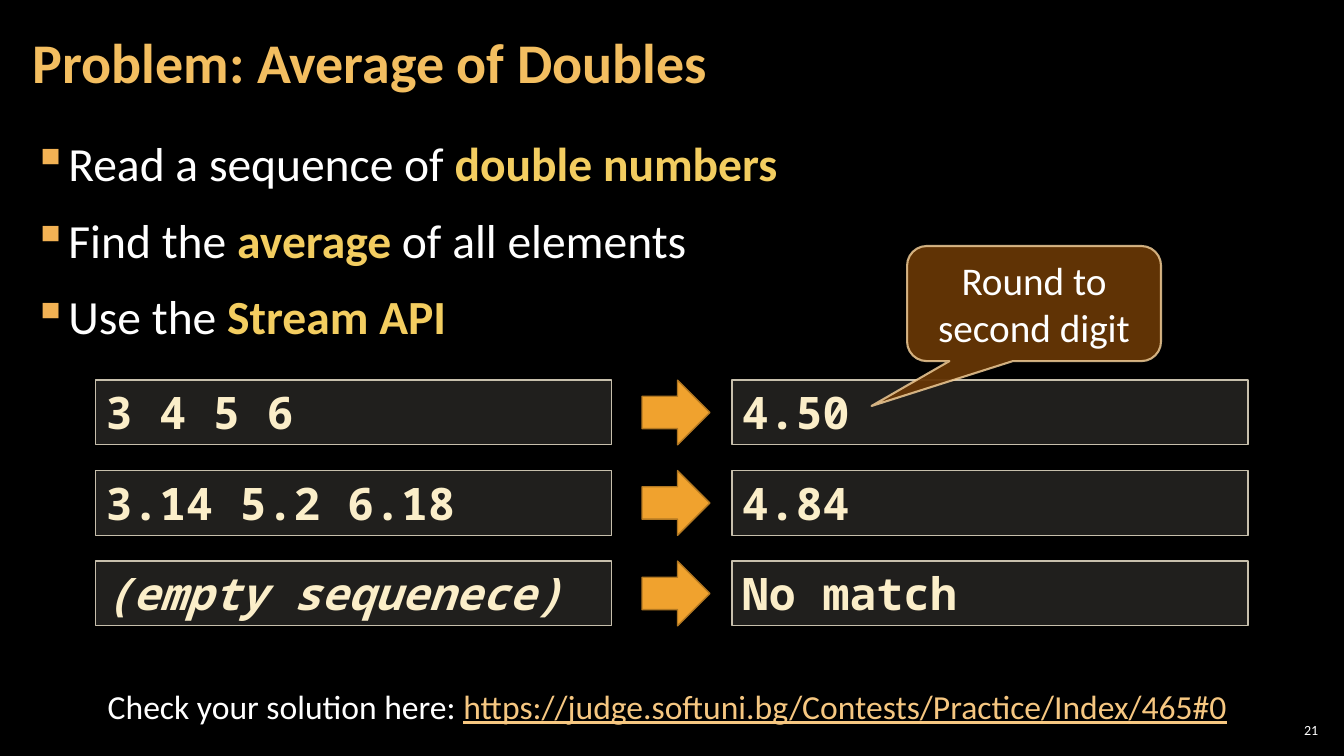
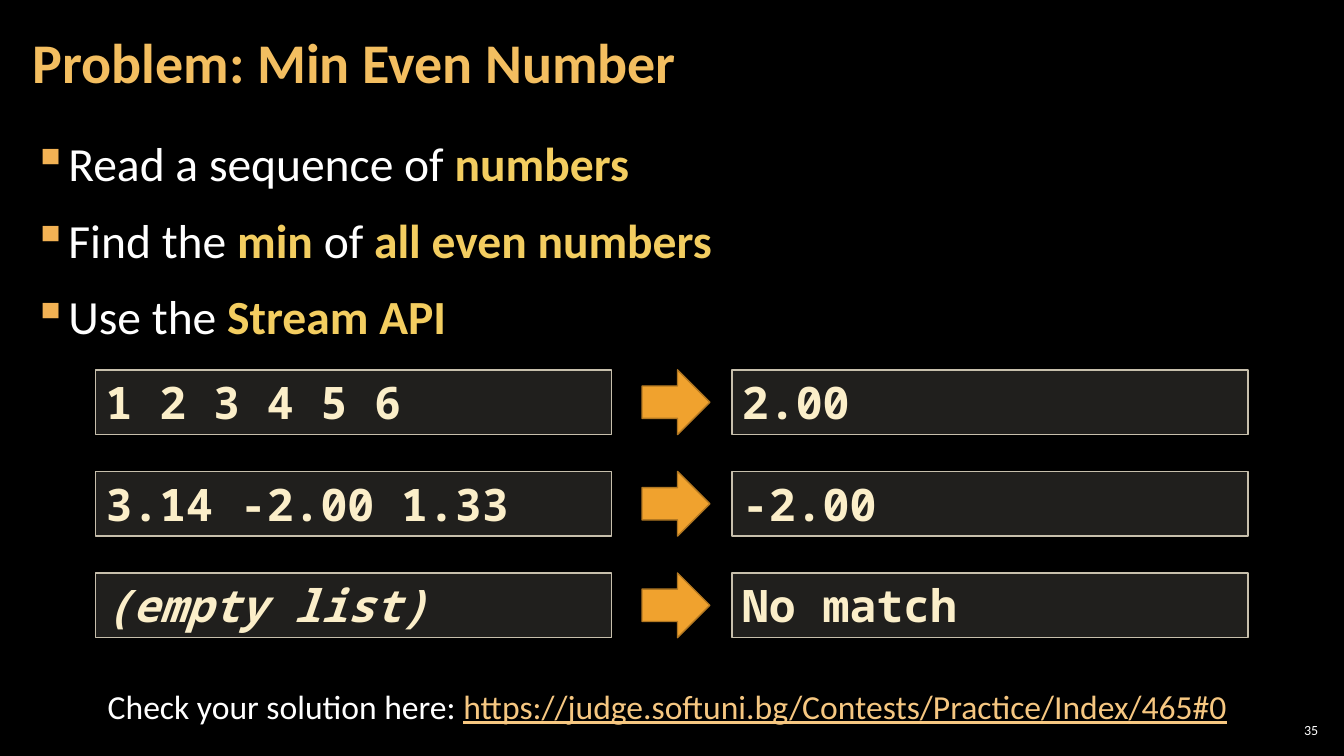
import pptx
import pptx.util
import pptx.dml.color
import pptx.enum.shapes
import pptx.enum.text
import pptx.oxml.ns
import lxml.etree

Cm = pptx.util.Cm
Pt = pptx.util.Pt
qn = pptx.oxml.ns.qn
SHAPE = pptx.enum.shapes.MSO_SHAPE
ANCHOR = pptx.enum.text.MSO_ANCHOR
ALIGN = pptx.enum.text.PP_ALIGN

WHITE = "FFFFFF"
TITLE = "F3BE60"
ACCENT = "F3CD60"
BULLET = "F2B254"
LINK = "F6C781"
CODE = "FBEEC9"
LINK_TEXT = "https://judge.softuni.bg/Contests/Practice/Index/465#0"


def paint(fill, color, opacity=100):
    fill.solid()
    fill.fore_color.rgb = pptx.dml.color.RGBColor.from_string(color)
    if opacity < 100:
        clr = fill._xPr.find(qn("a:solidFill"))[0]
        lxml.etree.SubElement(clr, qn("a:alpha"), val=str(opacity * 1000))


def write(p, text, size, color=WHITE, font="Calibri", bold=False, italic=False, underline=False):
    r = p.add_run()
    r.text = text
    r.font.name = font
    r.font.size = Pt(size)
    r.font.bold = bold
    r.font.italic = italic
    r.font.underline = underline
    paint(r.font.fill, color)


slides = [
    {
        "title": "Problem: Average of Doubles",
        "number": "21",
        "bullets": ["Read a sequence of *double numbers", "Find the *average *of all elements", "Use the *Stream API"],
        "rows": [("3 4 5 6", "4.50"), ("3.14 5.2 6.18", "4.84"), ("(empty sequenece)", "No match")],
        "top": 9.58,
        "pitch": 2.28,
        "callout": "Round to second digit",
    },
    {
        "title": "Problem: Min Even Number",
        "number": "35",
        "bullets": ["Read a sequence of *numbers", "Find the *min *of *all even numbers", "Use the *Stream API"],
        "rows": [("1 2 3 4 5 6", "2.00"), ("3.14 -2.00 1.33", "-2.00"), ("(empty list)", "No match")],
        "top": 9.32,
        "pitch": 2.56,
        "callout": None,
    },
]

prs = pptx.Presentation()
prs.slide_width = Cm(33.87)
prs.slide_height = Cm(19.05)
paint(prs.slide_master.background.fill, "000000")

for data in slides:
    s = prs.slides.add_slide(prs.slide_layouts[5])

    sp = s.shapes.title
    sp.left, sp.top, sp.width, sp.height = Cm(0.53), Cm(0.1), Cm(26.6), Cm(3.07)
    tf = sp.text_frame
    tf.margin_left = tf.margin_right = Cm(0.3)
    tf.margin_top = tf.margin_bottom = Cm(0.1)
    tf.vertical_anchor = ANCHOR.MIDDLE
    p = tf.paragraphs[0]
    p.alignment = ALIGN.LEFT
    p.line_spacing = 0.9
    write(p, data["title"], 40, TITLE, bold=True)

    sp = s.shapes.add_textbox(Cm(0.53), Cm(3.2), Cm(32.8), Cm(6))
    tf = sp.text_frame
    tf.word_wrap = True
    tf.margin_left = tf.margin_right = Cm(0.3)
    tf.margin_top = tf.margin_bottom = Cm(0.1)
    for i, text in enumerate(data["bullets"]):
        p = tf.add_paragraph() if i else tf.paragraphs[0]
        p.line_spacing = 1.05
        p.space_before = Pt(6 if i else 0)
        p.space_after = Pt(6)
        pPr = p._p.get_or_add_pPr()
        pPr.set("marL", str(Cm(0.85)))
        pPr.set("indent", str(-Cm(0.85)))
        buClr = lxml.etree.SubElement(pPr, qn("a:buClr"))
        lxml.etree.SubElement(buClr, qn("a:srgbClr"), val=BULLET)
        lxml.etree.SubElement(pPr, qn("a:buChar"), char="▪")
        for j, part in enumerate(text.split("*")):
            strong = j % 2 == 1
            write(p, part, 34, ACCENT if strong else WHITE, bold=strong)

    for i, values in enumerate(data["rows"]):
        top = Cm(data["top"] + i * data["pitch"])
        row = s.shapes.add_group_shape()
        for left, value in zip((2.41, 18.45), values):
            sp = row.shapes.add_shape(SHAPE.RECTANGLE, Cm(left), top, Cm(13), Cm(1.63))
            sp.shadow.inherit = False
            paint(sp.fill, "D9D5C7", 15)
            paint(sp.line.fill, "C7BFAC")
            sp.line.width = Pt(1)
            tf = sp.text_frame
            tf.word_wrap = True
            tf.vertical_anchor = ANCHOR.TOP
            p = tf.paragraphs[0]
            p.alignment = ALIGN.LEFT
            write(p, value, 32, CODE, "Noto Sans Mono", bold=True, italic=value.startswith("("))
        sp = row.shapes.add_shape(SHAPE.RIGHT_ARROW, Cm(16.18), top, Cm(1.71), Cm(1.63))
        sp.shadow.inherit = False
        paint(sp.fill, "F0A22E")
        paint(sp.line.fill, "B27822")
        sp.line.width = Pt(1)

    if data["callout"]:
        sp = s.shapes.add_shape(SHAPE.ROUNDED_RECTANGULAR_CALLOUT, Cm(22.86), Cm(6.2), Cm(6.4), Cm(2.9))
        for i, value in enumerate((-0.64, 0.89, 0.17)):
            sp.adjustments[i] = value
        sp.shadow.inherit = False
        paint(sp.fill, "663606", 95)
        paint(sp.line.fill, "F8D49E", 80)
        sp.line.width = Pt(1.5)
        tf = sp.text_frame
        tf.word_wrap = True
        tf.vertical_anchor = ANCHOR.MIDDLE
        p = tf.paragraphs[0]
        p.alignment = ALIGN.CENTER
        write(p, data["callout"], 28)

    sp = s.shapes.add_textbox(Cm(2.11), Cm(17.15), Cm(29.41), Cm(1.27))
    tf = sp.text_frame
    tf.word_wrap = True
    p = tf.paragraphs[0]
    p.alignment = ALIGN.CENTER
    write(p, "Check your solution here: ", 24)
    write(p, LINK_TEXT, 24, LINK, underline=True)

    sp = s.shapes.add_textbox(Cm(32.13), Cm(18.14), Cm(1.19), Cm(0.53))
    tf = sp.text_frame
    tf.word_wrap = True
    tf.margin_left = tf.margin_right = tf.margin_top = tf.margin_bottom = Cm(0.1)
    tf.vertical_anchor = ANCHOR.MIDDLE
    p = tf.paragraphs[0]
    p.alignment = ALIGN.RIGHT
    write(p, data["number"], 10)

prs.save("out.pptx")
